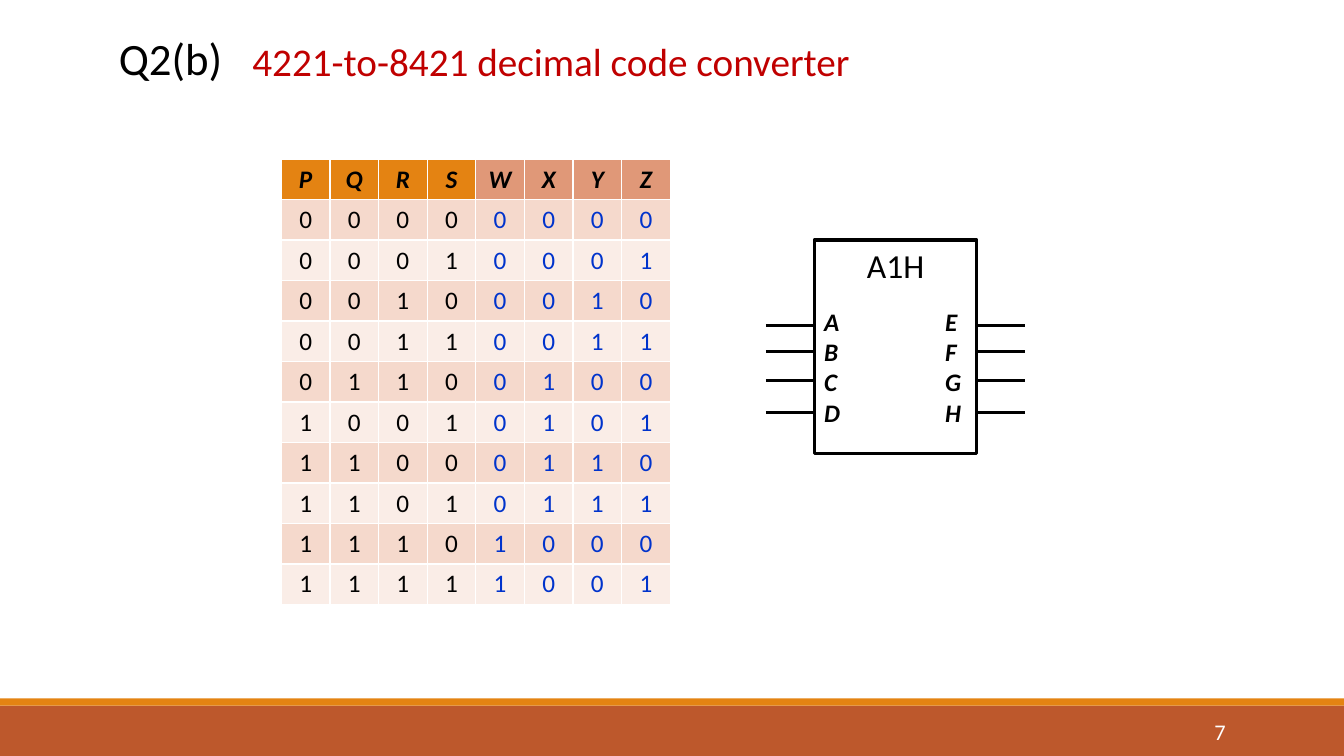
from itertools import product

from pptx import Presentation
from pptx.dml.color import RGBColor
from pptx.enum.shapes import MSO_CONNECTOR, MSO_SHAPE
from pptx.enum.text import MSO_ANCHOR, MSO_AUTO_SIZE, PP_ALIGN
from pptx.oxml.ns import qn
from pptx.util import Cm, Pt
from lxml.etree import SubElement

COLORS = {
    "black": "000000", "white": "FFFFFF", "red": "C00000", "blue": "0033CC",
    "orange": "E48312", "rust": "BD582C", "salmon": "E09878",
    "band_dark": "F5D9CC", "band_light": "FAEDE7",
}
INPUTS = "PQRS"
OUTPUTS = "WXYZ"
INPUT_CODES = ["0000", "0001", "0010", "0011", "0110",
               "1001", "1100", "1101", "1110", "1111"]
SLIDE_WIDTH = 33.87
PIN_LENGTH = 1.22
PIN_HEIGHTS = [8.2, 8.86, 9.58, 10.39]
CHIP_LEFT, CHIP_TOP, CHIP_WIDTH, CHIP_HEIGHT = 20.52, 6.05, 4.1, 5.38


class SlideBuilder:
    """Hold the text style and the current slide."""

    font_name = "Calibri"
    line_width = Pt(2.25)

    def __init__(self, presentation):
        """Add a title-only slide."""
        self.slide = presentation.slides.add_slide(presentation.slide_layouts[5])

    def color(self, name):
        """Return the named color."""
        return RGBColor.from_string(COLORS[name])

    def fill_text(self, frame, lines, size, color="black", align=PP_ALIGN.LEFT, **formats):
        """Put one formatted paragraph per line into a text frame."""
        frame.text = "\n".join(lines)
        for paragraph in frame.paragraphs:
            paragraph.alignment = align
            font = paragraph.runs[0].font
            font.color.rgb = self.color(color)
            values = {"name": self.font_name, "size": Pt(size), **formats}
            for name, value in values.items():
                setattr(font, name, value)

    def title(self, text, left, top, width, height):
        """Move and format the title placeholder."""
        shape = self.slide.shapes.title
        bounds = {"left": left, "top": top, "width": width, "height": height}
        for name, value in bounds.items():
            setattr(shape, name, Cm(value))
        frame = shape.text_frame
        self.fill_text(frame, [text], 32)
        frame.auto_size = MSO_AUTO_SIZE.NONE
        frame.vertical_anchor = MSO_ANCHOR.MIDDLE
        frame.paragraphs[0].line_spacing = 0.9

    def text(self, lines, left, top, width, height, size, anchor=MSO_ANCHOR.TOP, **formats):
        """Add a wrapped text box."""
        shape = self.slide.shapes.add_textbox(Cm(left), Cm(top), Cm(width), Cm(height))
        frame = shape.text_frame
        frame.word_wrap = True
        frame.vertical_anchor = anchor
        self.fill_text(frame, lines, size, **formats)

    def rectangle(self, left, top, width, height, fill=None, line=None):
        """Add a rectangle with an optional fill and outline."""
        shape = self.slide.shapes.add_shape(
            MSO_SHAPE.RECTANGLE, Cm(left), Cm(top), Cm(width), Cm(height))
        shape.shadow.inherit = False
        if fill:
            shape.fill.solid()
            shape.fill.fore_color.rgb = self.color(fill)
        else:
            shape.fill.background()
        if line:
            shape.line.color.rgb = self.color(line)
            shape.line.width = self.line_width
        else:
            shape.line.fill.background()

    def pin(self, left, top):
        """Add a horizontal pin line."""
        connector = self.slide.shapes.add_connector(
            MSO_CONNECTOR.STRAIGHT, Cm(left), Cm(top), Cm(left + PIN_LENGTH), Cm(top))
        connector.line.color.rgb = self.color("black")
        connector.line.width = self.line_width
        SubElement(connector._element.spPr, qn("a:effectLst"))

    def truth_table(self, rows, left, top, width, row_height):
        """Add a table with input columns followed by output columns."""
        columns = len(rows[0])
        table = self.slide.shapes.add_table(
            len(rows), columns, Cm(left), Cm(top), Cm(width), Cm(row_height * len(rows))).table
        for row, column in product(range(len(rows)), range(columns)):
            is_header, is_output = row == 0, column >= len(INPUTS)
            if is_header:
                fill = "salmon" if is_output else "orange"
            else:
                fill = "band_dark" if row % 2 else "band_light"
            cell = table.cell(row, column)
            cell.fill.solid()
            cell.fill.fore_color.rgb = self.color(fill)
            self.fill_text(cell.text_frame, [rows[row][column]], 18,
                           color="blue" if is_output and not is_header else "black",
                           align=PP_ALIGN.CENTER, bold=is_header, italic=is_header)


def main():
    """Build the code converter slide."""
    presentation = Presentation()
    presentation.slide_width = Cm(SLIDE_WIDTH)
    presentation.slide_height = Cm(19.05)
    builder = SlideBuilder(presentation)

    builder.rectangle(0, 17.78, SLIDE_WIDTH, 1.27, fill="rust")
    builder.rectangle(0, 17.6, SLIDE_WIDTH, 0.18, fill="orange")
    builder.title("Q2(b)", 2.74, 0.74, 3.4, 1.6)
    builder.text(["4221-to-8421 decimal code converter"], 5.82, 0.81, 16.13, 1.45, 28,
                 color="red", align=PP_ALIGN.CENTER)

    codes = [code + f"{digit:04b}" for digit, code in enumerate(INPUT_CODES)]
    builder.truth_table([INPUTS + OUTPUTS] + codes, 7.09, 4.01, 9.8, 1.02)

    builder.rectangle(CHIP_LEFT, CHIP_TOP, CHIP_WIDTH, CHIP_HEIGHT, line="black")
    builder.text(["A1H"], 21.16, CHIP_TOP, 2.82, 1.27, 24, align=PP_ALIGN.CENTER)
    for labels, left, width in (("ABCD", CHIP_LEFT, 1.45), ("EFGH", 23.57, 1.24)):
        builder.text(labels, left, 7.59, width, 3.33, 18, bold=True, italic=True)
    for left, top in product((CHIP_LEFT - PIN_LENGTH, CHIP_LEFT + CHIP_WIDTH), PIN_HEIGHTS):
        builder.pin(left, top)

    builder.text(["7"], 27.51, 17.93, 3.63, 1.02, 16, anchor=MSO_ANCHOR.MIDDLE,
                 color="white", align=PP_ALIGN.RIGHT)
    presentation.save("out.pptx")


if __name__ == "__main__":
    main()
